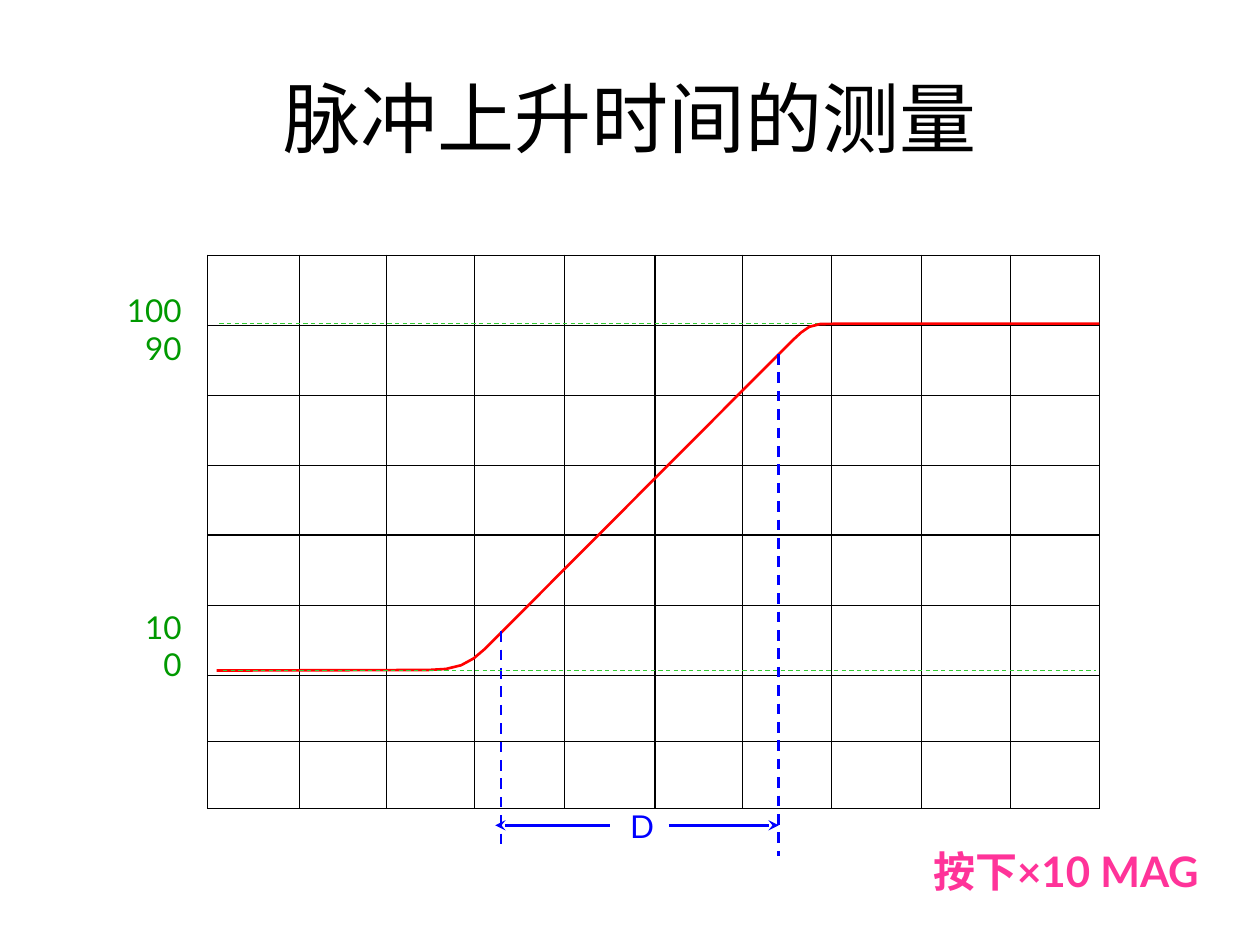
from lxml import etree
from pptx import Presentation
from pptx import util as u
from pptx.dml.color import RGBColor
from pptx.enum import dml, shapes, text
from pptx.oxml.ns import qn

Pt = u.Pt
BLACK = RGBColor(0x00, 0x00, 0x00)
LABEL_GREEN = RGBColor(0x00, 0x99, 0x00)
LEVEL_GREEN = RGBColor(0x33, 0xCC, 0x33)
RED = RGBColor(0xFF, 0x00, 0x00)
BLUE = RGBColor(0x00, 0x00, 0xFF)
PINK = RGBColor(0xFF, 0x33, 0x99)


def add_text(s, box, lines, size, color, align, bold=False):
    tf = s.shapes.add_textbox(*map(Pt, box)).text_frame
    tf.word_wrap = True
    tf.auto_size = text.MSO_AUTO_SIZE.SHAPE_TO_FIT_TEXT
    for i, line in enumerate(lines):
        p = tf.add_paragraph() if i else tf.paragraphs[0]
        p.alignment = align
        r = p.add_run()
        r.text = line
        r.font.name = "Lato"
        r.font.size = Pt(size)
        r.font.bold = bold
        r.font.color.rgb = color


def add_line(s, ends, color, width, dash=False, arrow=False):
    c = s.shapes.add_connector(shapes.MSO_CONNECTOR.STRAIGHT, *map(Pt, ends))
    c.line.color.rgb = color
    c.line.width = Pt(width)
    if dash:
        c.line.dash_style = dml.MSO_LINE.DASH
    if arrow:
        etree.SubElement(c.line._get_or_add_ln(), qn("a:tailEnd"), type="stealth")
    etree.SubElement(c._element.spPr, qn("a:effectLst"))


prs = Presentation()
prs.slide_width, prs.slide_height = Pt(720), Pt(540)
s = prs.slides.add_slide(prs.slide_layouts[5])

title = s.shapes.title
title.left, title.top, title.width, title.height = map(Pt, (36, 21.6, 648, 90))
tf = title.text_frame
tf.vertical_anchor = text.MSO_ANCHOR.MIDDLE
p = tf.paragraphs[0]
p.alignment = text.PP_ALIGN.CENTER
r = p.add_run()
r.text = "脉冲上升时间的测量"
r.font.name = "Arial"
r.font.size = Pt(44)
r.font.color.rgb = BLACK

col_widths = [52.6, 49.7, 50.3, 51.4, 51.7, 50, 50.9, 51.4, 50.9, 50.9]
row_heights = [40] * 5 + [40.3, 37.4, 38.3]
cols, rows = len(col_widths), len(row_heights)
grid = s.shapes.add_table(rows, cols, Pt(118.6), Pt(145.8),
                          Pt(sum(col_widths)), Pt(sum(row_heights))).table
grid.first_row = grid.horz_banding = False
for col, width in zip(grid.columns, col_widths):
    col.width = Pt(width)
for row, height in zip(grid.rows, row_heights):
    row.height = Pt(height)

col_edges = [0.75] + [0.45] * (cols - 1) + [0.75]
row_edges = [0.75] + [0.45] * (rows - 1) + [0.75]
col_edges[cols // 2] = row_edges[rows // 2] = 1.08
for i in range(rows):
    for j in range(cols):
        cell = grid.cell(i, j)
        tcPr = cell._tc.get_or_add_tcPr()
        edges = {"a:lnL": col_edges[j], "a:lnR": col_edges[j + 1],
                 "a:lnT": row_edges[i], "a:lnB": row_edges[i + 1]}
        for tag, width in edges.items():
            ln = etree.SubElement(tcPr, qn(tag), w=str(Pt(width)))
            fill = etree.SubElement(ln, qn("a:solidFill"))
            etree.SubElement(fill, qn("a:srgbClr"), val=str(BLACK))
        cell.fill.background()

RIGHT, CENTER = text.PP_ALIGN.RIGHT, text.PP_ALIGN.CENTER
add_text(s, (54, 162.7, 56.9, 50.4), ["100", "90"], 18, LABEL_GREEN, RIGHT)
add_text(s, (54, 343.7, 56.9, 50.4), ["10", "0"], 18, LABEL_GREEN, RIGHT)

high, low = 185, 383.2
add_line(s, (125.3, high, 626.4, high), LEVEL_GREEN, 0.62, dash=True)

pulse = [(123.8, low), (244.8, low - 0.3), (254.9, 382.3), (263.5, 380.2),
         (270.7, 376.3), (277.2, 370.8), (452.9, 194.6), (457.9, 190),
         (462.5, 186.8), (468.7, 185.2), (480.2, high), (628.2, high)]
points = [(Pt(x), Pt(y)) for x, y in pulse]
fb = s.shapes.build_freeform(*points[0])
fb.add_line_segments(points[1:], close=False)
curve = fb.convert_to_shape()
curve.shadow.inherit = False
curve.fill.background()
curve.line.color.rgb = RED
curve.line.width = Pt(1.5)

start, end, arrow_y = 286.4, 445, 471.6
add_line(s, (348.5, arrow_y, 283, arrow_y), BLUE, 1.5, arrow=True)
add_text(s, (348.5, 457.9, 36.7, 28.8), ["D"], 18, BLUE, CENTER)
add_line(s, (start, 360.7, start, 485.3), BLUE, 1.5, dash=True)
add_line(s, (end, 202.3, end, 488.9), BLUE, 1.5, dash=True)
add_line(s, (382.3, arrow_y, end, arrow_y), BLUE, 1.5, arrow=True)

add_text(s, (518.4, 479.5, 181.4, 36), ["按下×10 MAG"], 24, PINK, CENTER, bold=True)
add_line(s, (127.4, low, 626.4, low), LEVEL_GREEN, 0.62, dash=True)

prs.save("out.pptx")
